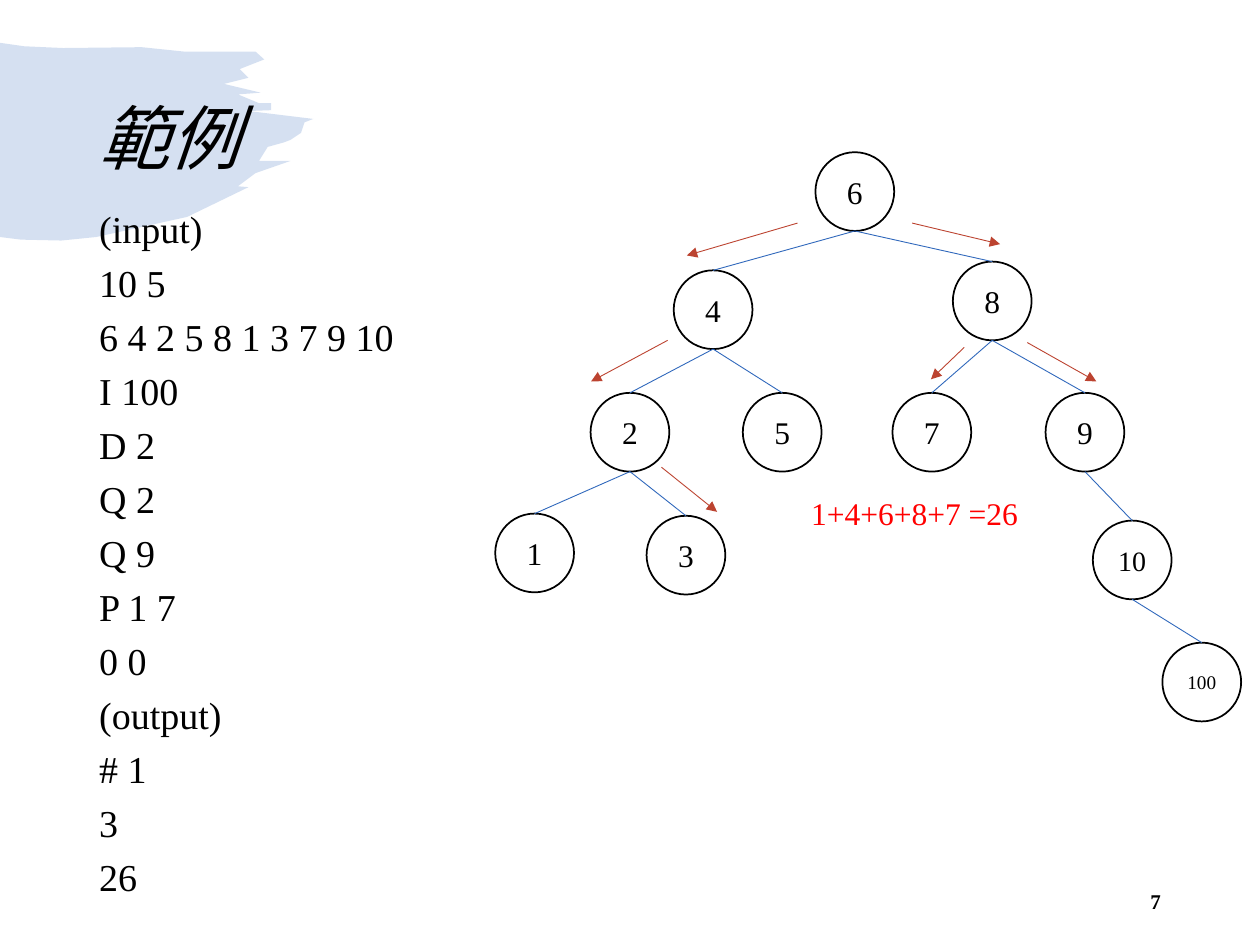
from lxml.etree import SubElement
from pptx import Presentation
from pptx.dml.color import RGBColor
from pptx.enum.shapes import MSO_CONNECTOR, MSO_SHAPE
from pptx.enum.text import MSO_ANCHOR as Anchor, MSO_AUTO_SIZE as AutoSize, PP_ALIGN as Align
from pptx.oxml.ns import qn
from pptx.util import Pt

# Content
TITLE = "範例"
LISTING = ["(input)", "10 5", "6 4 2 5 8 1 3 7 9 10", "I 100", "D 2", "Q 2", "Q 9",
           "P 1 7", "0 0", "(output)", "# 1", "3", "26"]
PATH_SUM = "1+4+6+8+7 =26"
PAGE_NUMBER = "7"

# Tree: key -> (centre x, top, parent)
NODES = {
    "6": (488.5, 87, None),
    "4": (407.5, 154.5, "6"), "8": (567, 149.5, "6"),
    "2": (360, 224.5, "4"), "5": (447, 224.5, "4"),
    "7": (532.5, 224.5, "8"), "9": (620, 224.5, "8"),
    "1": (305.5, 293.5, "2"), "3": (392, 294.75, "2"),
    "10": (647, 297.5, "9"), "100": (686.75, 367.25, "10"),
}
LABEL_SIZES = {1: 18, 2: 16, 3: 11}
DIAMETER = 45

# Search steps: start x, y, end x, y
STEPS = [
    (455.75, 127.5, 392.5, 146), (381.5, 194.5, 337.75, 218),
    (378, 267, 409.75, 292.5), (521.25, 127.5, 571.5, 139.5),
    (587, 195.75, 626.5, 218), (551, 198.5, 532, 216.75),
]

# Brush stroke outline: top edge, ragged right end, bottom edge
BRUSH = [
    (0, 24.5), (14, 26.5), (36, 27.5), (81, 27), (105, 29.5), (134, 29.5), (146, 29.5),
    (151, 34), (137, 39.5), (142, 44.5), (128, 48), (149, 53), (136, 54), (148, 59),
    (155, 59), (155, 63), (142, 63.5), (179, 68), (174, 70), (172, 76), (166, 80),
    (162, 81.5), (153, 84), (148, 92), (166, 92), (146, 99), (136, 106.5), (142, 107),
    (107, 124), (55, 135.5), (35, 137.5), (12, 137), (0, 135.5),
]

SERIF = "Times New Roman"
BLACK, WHITE, RED, BLUE, RUST = "000000", "FFFFFF", "FF0000", "3068BC", "BC4330"


def colour(code):
    return RGBColor.from_string(code)


def write(box, lines, font, paragraph=None, frame=None):
    text = box.text_frame
    settings = {"auto_size": AutoSize.NONE, "word_wrap": True, **(frame or {})}
    for name, value in settings.items():
        setattr(text, name, value)
    for index, line in enumerate(lines):
        para = text.add_paragraph() if index else text.paragraphs[0]
        for name, value in (paragraph or {}).items():
            setattr(para, name, value)
        if not index:
            para.space_before = Pt(0)
        span = para.add_run()
        span.text = line
        for name, value in {"name": SERIF, "color": BLACK, **font}.items():
            if name == "color":
                span.font.color.rgb = colour(value)
            else:
                setattr(span.font, name, value)


def place(box, left, top, width, height):
    box.left, box.top, box.width, box.height = map(Pt, (left, top, width, height))
    return box


def add_line(shapes, ends, code):
    line = shapes.add_connector(MSO_CONNECTOR.STRAIGHT, *map(Pt, ends))
    line.line.color.rgb = colour(code)
    line.line.width = Pt(0.5)
    SubElement(line._element.spPr, qn("a:effectLst"))
    return line


def add_brush(shapes):
    first, *rest = [(Pt(x), Pt(y)) for x, y in BRUSH]
    builder = shapes.build_freeform(*first)
    builder.add_line_segments(rest, close=True)
    brush = builder.convert_to_shape()
    brush.shadow.inherit = False
    brush.fill.solid()
    brush.fill.fore_color.rgb = colour(BLUE)
    tint = brush._element.spPr.find(".//" + qn("a:srgbClr"))
    SubElement(tint, qn("a:alpha"), val="20000")
    brush.line.fill.background()
    shapes._spTree.insert(2, brush._element)  # behind the text


def add_node(shapes, label, centre, top):
    node = shapes.add_shape(MSO_SHAPE.OVAL, Pt(centre - DIAMETER / 2), Pt(top),
                            Pt(DIAMETER), Pt(DIAMETER))
    node.shadow.inherit = False
    node.fill.solid()
    node.fill.fore_color.rgb = colour(WHITE)
    node.line.color.rgb = colour(BLACK)
    node.line.width = Pt(1)
    write(node, [label], {"size": Pt(LABEL_SIZES[len(label)])}, {"alignment": Align.CENTER},
          {"vertical_anchor": Anchor.MIDDLE, "margin_left": 0, "margin_right": 0})
    return node


def main():
    deck = Presentation()
    deck.slide_width, deck.slide_height = Pt(720), Pt(540)
    page = deck.slides.add_slide(deck.slide_layouts[1])
    shapes = page.shapes
    add_brush(shapes)

    # Title and listing
    title = place(shapes.title, 49.5, 29, 620.5, 104.5)
    write(title, [TITLE], {"name": "Roboto", "size": Pt(40), "italic": True},
          {"alignment": Align.LEFT, "line_spacing": 0.9}, {"vertical_anchor": Anchor.MIDDLE})
    body = place(page.placeholders[1], 49.5, 119, 246, 402.5)
    write(body, LISTING, {"size": Pt(21.7)}, {"line_spacing": 0.8, "space_before": Pt(10)})
    for para in body.text_frame.paragraphs:
        properties = para._p.get_or_add_pPr()
        properties.set("marL", "0")
        properties.set("indent", "0")
        SubElement(properties, qn("a:buNone"))

    # Page number
    number = shapes.add_textbox(Pt(508.5), Pt(500.5), Pt(162), Pt(29))
    write(number, [PAGE_NUMBER], {"size": Pt(12), "bold": True},
          {"alignment": Align.RIGHT}, {"vertical_anchor": Anchor.MIDDLE})

    # Tree nodes, then edges from each parent's bottom to the child's top
    circles = {label: add_node(shapes, label, x, y) for label, (x, y, _) in NODES.items()}
    for label, (x, y, parent) in NODES.items():
        if parent:
            parent_x, parent_y, _ = NODES[parent]
            edge = add_line(shapes, (parent_x, parent_y + DIAMETER, x, y), BLUE)
            edge.end_connect(circles[label], 0)

    # Search arrows and the sum along the path
    for step in STEPS:
        arrow = add_line(shapes, step, RUST)
        SubElement(arrow.line._get_or_add_ln(), qn("a:tailEnd"), type="triangle")
    caption = shapes.add_textbox(Pt(456.5), Pt(278.5), Pt(246), Pt(29))
    write(caption, [PATH_SUM], {"size": Pt(18), "color": RED})

    deck.save("out.pptx")


if __name__ == "__main__":
    main()
